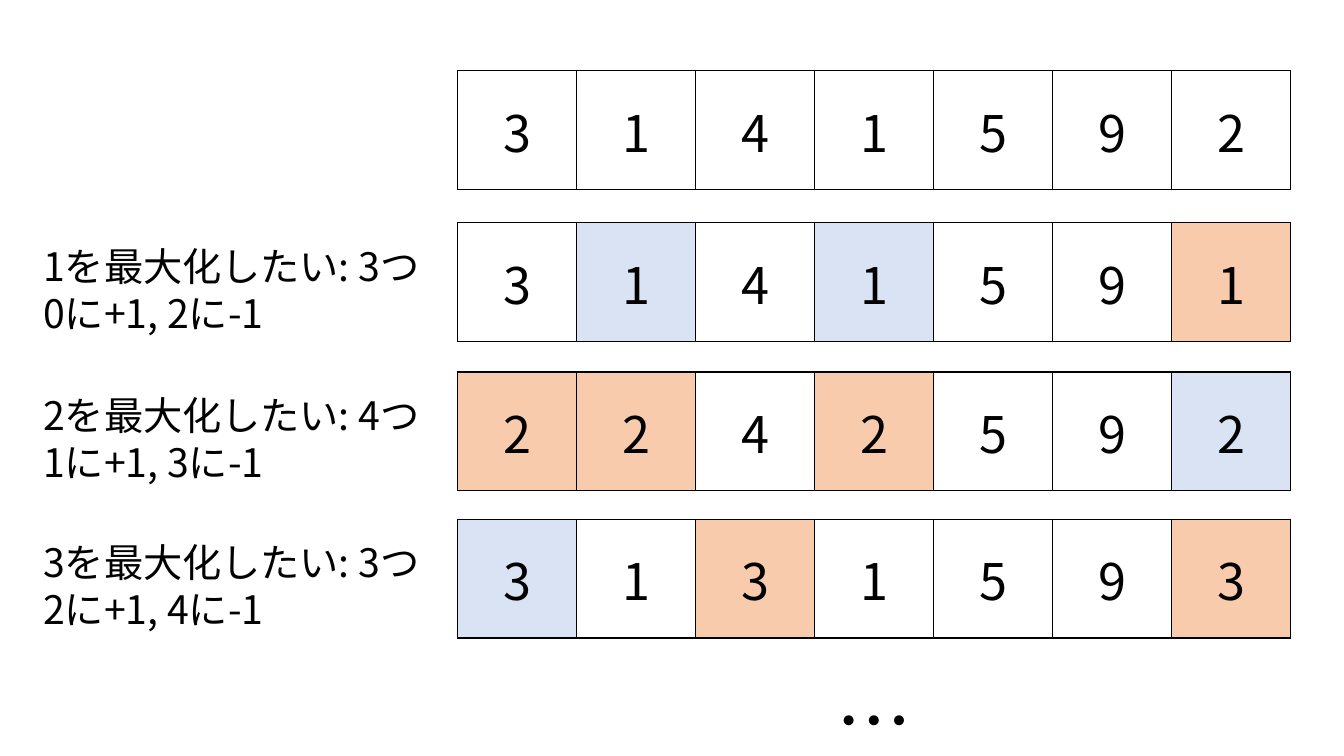
from lxml import etree
from pptx import Presentation
from pptx.dml.color import RGBColor
from pptx.enum.text import MSO_ANCHOR, MSO_AUTO_SIZE, PP_ALIGN
from pptx.oxml.ns import qn
from pptx.util import Inches, Pt

CENTER, LEFT = PP_ALIGN.CENTER, PP_ALIGN.LEFT
MIDDLE = MSO_ANCHOR.MIDDLE
GROW = MSO_AUTO_SIZE.SHAPE_TO_FIT_TEXT
FONT = "Noto Sans CJK JP"
INK, BLUE, ORANGE = "000000", "DAE3F3", "F8CBAD"
FILLS = {"b": BLUE, "o": ORANGE}
CELL = 1.18


def color(code):
    return RGBColor.from_string(code)


class Board:
    def __init__(self, slide):
        self.slide = slide

    def fill_text(self, frame, lines, size, align=LEFT):
        for i, line in enumerate(lines):
            para = frame.paragraphs[0] if i == 0 else frame.add_paragraph()
            para.text = line
            para.alignment = align
            font = para.font
            font.size = Pt(size)
            font.color.rgb = color(INK)
            font.name = FONT
            # East Asian glyphs use the same typeface
            props = para._p.pPr.find(qn("a:defRPr"))
            etree.SubElement(props, qn("a:ea"), typeface=FONT)

    def text(self, box, lines, size):
        shape = self.slide.shapes.add_textbox(*map(Inches, box))
        frame = shape.text_frame
        frame.word_wrap = True
        frame.auto_size = GROW
        self.fill_text(frame, lines, size)

    def border(self, cell):
        props = cell._tc.get_or_add_tcPr()
        for i, side in enumerate(("lnL", "lnR", "lnT", "lnB")):
            line = etree.Element(qn("a:" + side), w=str(Pt(1)))
            fill = etree.SubElement(line, qn("a:solidFill"))
            etree.SubElement(fill, qn("a:srgbClr"), val=INK)
            props.insert(i, line)

    def row(self, left, top, digits, marks):
        count = len(digits)
        table = self.slide.shapes.add_table(
            1, count, Inches(left), Inches(top),
            Inches(CELL * count), Inches(CELL)).table
        table.first_row = table.horz_banding = False
        for i, (digit, mark) in enumerate(zip(digits, marks)):
            table.columns[i].width = Inches(CELL)
            cell = table.cell(0, i)
            cell.vertical_anchor = MIDDLE
            if mark in FILLS:
                cell.fill.solid()
                cell.fill.fore_color.rgb = color(FILLS[mark])
            else:
                cell.fill.background()
            self.border(cell)
            self.fill_text(cell.text_frame, [digit], 36, CENTER)


def main():
    deck = Presentation()
    deck.slide_width, deck.slide_height = Inches(13.33), Inches(7.5)
    board = Board(deck.slides.add_slide(deck.slide_layouts[6]))

    # Starting numbers
    board.row(4.54, 0.7, "3141592", "-------")

    # One step per target: blue already matches, orange is moved by one
    steps = [
        (2.21, "3141591", "-b-b--o", 3),
        (3.69, "2242592", "oo-o--b", 4),
        (5.15, "3131593", "b-o---o", 3),
    ]
    for goal, (top, digits, marks, total) in enumerate(steps, 1):
        board.row(4.54, top, digits, marks)
        board.text((0.33, top + 0.14, 4.02, 1.04),
                   [f"{goal}を最大化したい: {total}つ",
                    f"{goal - 1}に+1, {goal + 1}に-1"], 28)

    # Further steps
    board.text((8.2, 6.64, 0.95, 1.01), ["…"], 54)

    deck.save("out.pptx")


if __name__ == "__main__":
    main()
